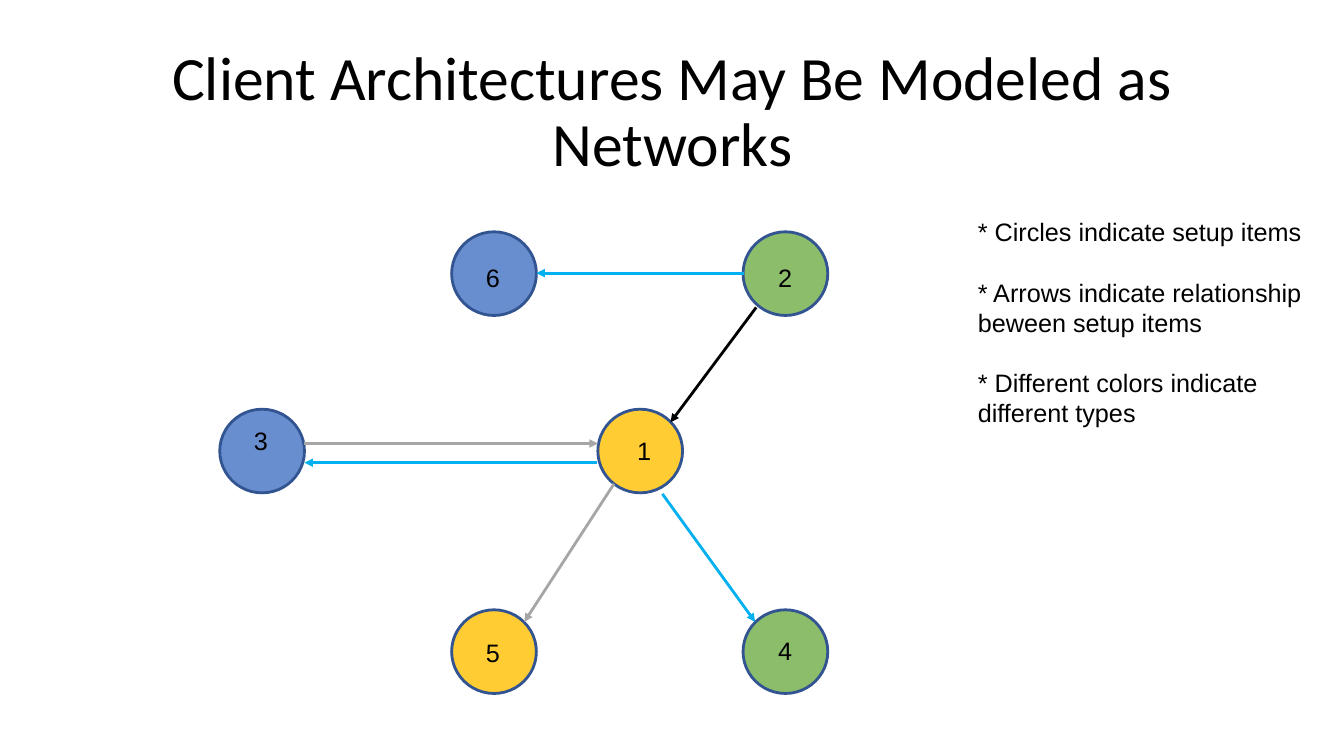
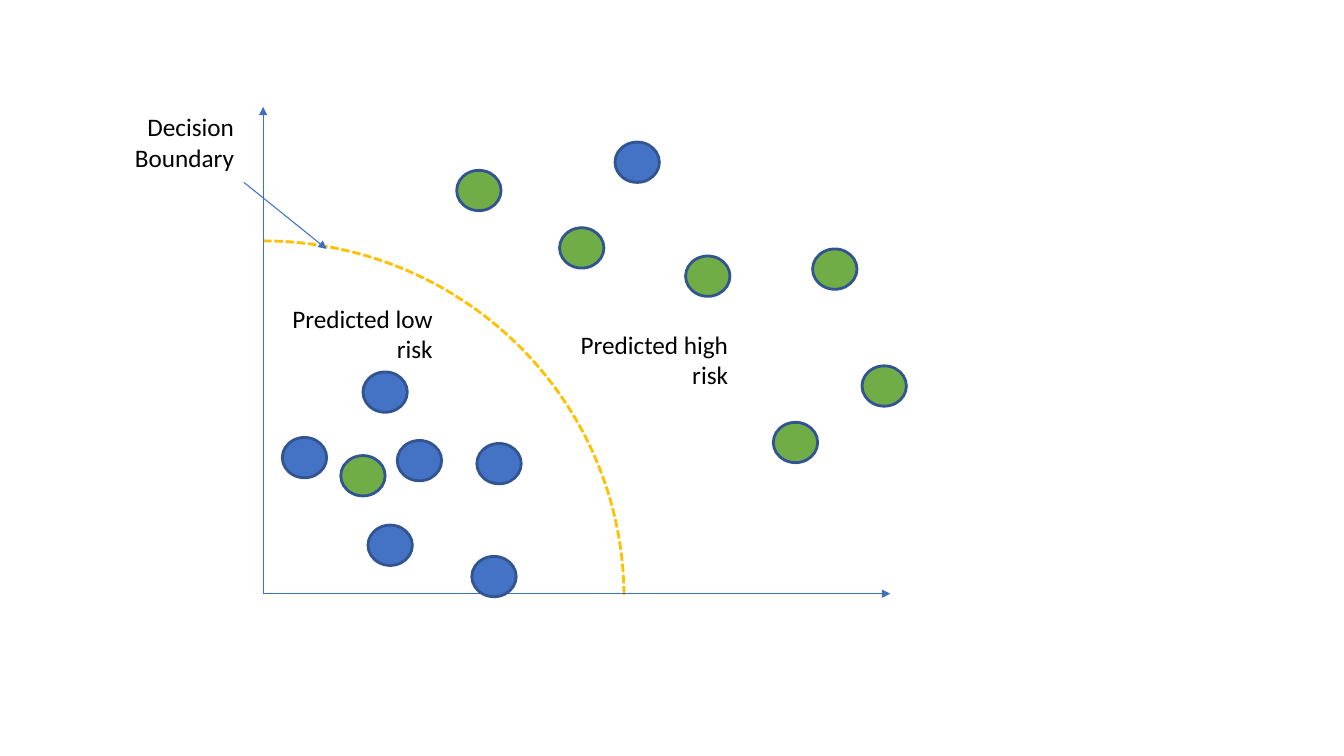
from dataclasses import dataclass
from typing import NamedTuple, Optional

from pptx import Presentation
from pptx import util as u
from pptx.dml.color import RGBColor
from pptx.enum import dml, shapes, text
from pptx.oxml import ns, xmlchemy
from pptx.shapes.autoshape import Shape
from pptx.slide import Slide
from lxml import etree


@dataclass(frozen=True)
class Theme:
    black: RGBColor = RGBColor.from_string("000000")
    blue: RGBColor = RGBColor.from_string("4472C4")
    green: RGBColor = RGBColor.from_string("70AD47")
    gold: RGBColor = RGBColor.from_string("FFC000")
    gray: RGBColor = RGBColor.from_string("A6A6A6")
    cyan: RGBColor = RGBColor.from_string("00B0F0")
    outline: RGBColor = RGBColor.from_string("325491")
    axis: RGBColor = RGBColor.from_string("3F6FC3")
    title_font: str = "Calibri"
    note_font: str = "Arial"
    title_size: int = 44
    body_size: int = 18
    heavy_line: float = 2
    thin_line: float = 0.75


THEME = Theme()


class Point(NamedTuple):
    x: float
    y: float


class Box(NamedTuple):
    left: float
    top: float
    width: float
    height: float

    def lengths(self) -> list[u.Length]:
        return [u.Inches(value) for value in self]


@dataclass(frozen=True)
class Node:
    name: str
    corner: Point
    label_corner: Point
    color: RGBColor


@dataclass(frozen=True)
class Arrow:
    start: Point
    end: Point
    color: RGBColor = THEME.axis
    width: float = THEME.thin_line


@dataclass(frozen=True)
class Caption:
    box: Box
    words: str


def write(shape: Shape, lines: list[str], font: str, size: float,
          align: text.PP_ALIGN, wrap: bool = True, gap: float = 0) -> None:
    frame = shape.text_frame
    frame.word_wrap = wrap
    frame.auto_size = text.MSO_AUTO_SIZE.NONE
    for index, line in enumerate(lines):
        paragraph = frame.paragraphs[0] if index == 0 else frame.add_paragraph()
        paragraph.alignment = align
        paragraph.space_before = u.Pt(gap if index else 0)
        run = paragraph.add_run()
        run.text = line
        run.font.name = font
        run.font.size = u.Pt(size)
        run.font.color.rgb = THEME.black


def add_title(slide: Slide, box: Box, words: str) -> None:
    title = slide.shapes.title
    title.left, title.top, title.width, title.height = box.lengths()
    write(title, [words], THEME.title_font, THEME.title_size, text.PP_ALIGN.CENTER)
    title.text_frame.vertical_anchor = text.MSO_ANCHOR.MIDDLE
    title.text_frame.paragraphs[0].line_spacing = 0.9


def add_text(slide: Slide, box: Box, lines: list[str], font: str,
             align: text.PP_ALIGN = text.PP_ALIGN.LEFT,
             wrap: bool = True, gap: float = 0) -> None:
    shape = slide.shapes.add_textbox(*box.lengths())
    write(shape, lines, font, THEME.body_size, align, wrap, gap)


def add_circle(slide: Slide, box: Box, color: RGBColor,
               opacity: Optional[int] = None) -> None:
    circle = slide.shapes.add_shape(shapes.MSO_SHAPE.OVAL, *box.lengths())
    circle.shadow.inherit = False
    circle.fill.solid()
    circle.fill.fore_color.rgb = color
    circle.line.color.rgb = THEME.outline
    circle.line.width = u.Pt(THEME.heavy_line)
    if opacity is not None:
        fill_color = circle.element.spPr.find(ns.qn("a:solidFill"))[0]
        etree.SubElement(fill_color, ns.qn("a:alpha"), val=str(opacity * 1000))


def add_arrow(slide: Slide, arrow: Arrow) -> None:
    ends = [u.Inches(value) for value in (*arrow.start, *arrow.end)]
    connector = slide.shapes.add_connector(shapes.MSO_CONNECTOR.STRAIGHT, *ends)
    connector.line.color.rgb = arrow.color
    connector.line.width = u.Pt(arrow.width)
    properties = connector.element.spPr
    line = properties.find(ns.qn("a:ln"))
    etree.SubElement(line, ns.qn("a:tailEnd"), type="triangle")
    etree.SubElement(properties, ns.qn("a:effectLst"))


def add_boundary(slide: Slide, box: Box) -> None:
    arc = slide.shapes.add_shape(shapes.MSO_SHAPE.ARC, *box.lengths())
    arc.shadow.inherit = False
    arc.fill.background()
    arc.line.color.rgb = THEME.gold
    arc.line.width = u.Pt(THEME.heavy_line)
    arc.line.dash_style = dml.MSO_LINE.SQUARE_DOT


NODE_WIDTH, NODE_HEIGHT, NODE_OPACITY = 0.84, 0.83, 80
LABEL_WIDTH, LABEL_HEIGHT = 0.3, 0.38
NODES = [
    Node("2", Point(7.37, 2.3), Point(7.62, 2.55), THEME.green),
    Node("4", Point(7.37, 6.05), Point(7.62, 6.25), THEME.green),
    Node("5", Point(4.48, 6.05), Point(4.72, 6.27), THEME.gold),
    Node("1", Point(5.93, 4.06), Point(6.22, 4.27), THEME.gold),
    Node("6", Point(4.48, 2.3), Point(4.72, 2.55), THEME.blue),
    Node("3", Point(2.18, 4.06), Point(2.42, 4.17), THEME.blue),
]
RELATIONS = [
    Arrow(Point(3.02, 4.4), Point(5.93, 4.4), THEME.gray, THEME.heavy_line),
    Arrow(Point(7.5, 3.05), Point(6.65, 4.19), THEME.black, THEME.heavy_line),
    Arrow(Point(7.38, 2.71), Point(5.32, 2.71), THEME.cyan, THEME.heavy_line),
    Arrow(Point(6.09, 4.8), Point(5.2, 6.17), THEME.gray, THEME.heavy_line),
    Arrow(Point(5.92, 4.59), Point(3.02, 4.59), THEME.cyan, THEME.heavy_line),
    Arrow(Point(6.57, 4.9), Point(7.49, 6.17), THEME.cyan, THEME.heavy_line),
]
LEGEND = [
    "* Circles indicate setup items",
    "* Arrows indicate relationship beween setup items",
    "* Different colors indicate different types",
]

ORIGIN = Point(2.61, 5.89)
AXES = [Arrow(ORIGIN, Point(ORIGIN.x, 1.06)), Arrow(ORIGIN, Point(8.83, ORIGIN.y))]
BOUNDARY_POINTER = Arrow(Point(2.42, 1.81), Point(3.24, 2.47))
DOT_WIDTH, DOT_HEIGHT = 0.44, 0.4
DOTS = {
    THEME.blue: [
        Point(2.8, 4.34), Point(4.73, 4.4), Point(3.94, 4.37), Point(3.6, 3.69),
        Point(3.65, 5.21), Point(4.68, 5.52), Point(6.1, 1.41),
    ],
    THEME.green: [
        Point(4.53, 1.69), Point(3.38, 4.52), Point(5.55, 2.26), Point(6.8, 2.54),
        Point(8.55, 3.63), Point(8.06, 2.47), Point(7.67, 4.19),
    ],
}
CAPTIONS = [
    Caption(Box(0.87, 1.06, 1.55, 0.7), "Decision Boundary"),
    Caption(Box(5.44, 3.22, 1.88, 0.7), "Predicted high risk"),
    Caption(Box(2.51, 2.96, 1.88, 0.7), "Predicted low risk"),
]


def build_network(slide: Slide) -> None:
    add_title(slide, Box(0.92, 0.4, 11.5, 1.45),
              "Client Architectures May Be Modeled as Networks")
    for node in NODES:
        add_circle(slide, Box(*node.corner, NODE_WIDTH, NODE_HEIGHT),
                   node.color, NODE_OPACITY)
    for relation in RELATIONS:
        add_arrow(slide, relation)
    for node in NODES:
        add_text(slide, Box(*node.label_corner, LABEL_WIDTH, LABEL_HEIGHT),
                 [node.name], THEME.note_font, wrap=False)
    add_text(slide, Box(9.6, 2.1, 3.73, 2.06), LEGEND, THEME.note_font, gap=21.5)


def build_risk_plot(slide: Slide) -> None:
    add_boundary(slide, Box(-0.97, 2.39, 7.16, 7.07))
    for axis in AXES:
        add_arrow(slide, axis)
    for color, corners in DOTS.items():
        for corner in corners:
            add_circle(slide, Box(*corner, DOT_WIDTH, DOT_HEIGHT), color)
    add_arrow(slide, BOUNDARY_POINTER)
    for caption in CAPTIONS:
        add_text(slide, caption.box, [caption.words], THEME.title_font,
                 text.PP_ALIGN.RIGHT)


def main() -> None:
    presentation = Presentation()
    presentation.slide_width = u.Inches(13.33)
    presentation.slide_height = u.Inches(7.5)
    title_only, blank = presentation.slide_layouts[5], presentation.slide_layouts[6]
    build_network(presentation.slides.add_slide(title_only))
    build_risk_plot(presentation.slides.add_slide(blank))
    presentation.save("out.pptx")


main()
